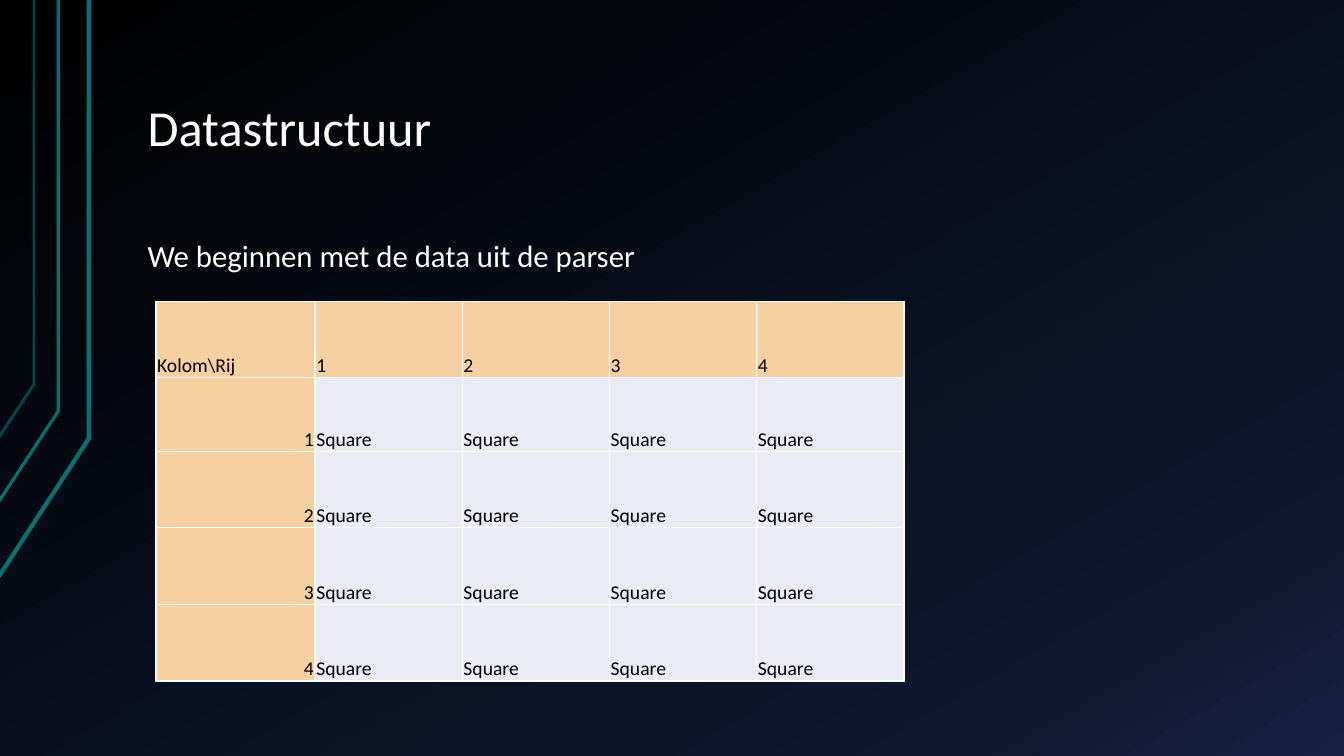
from copy import deepcopy

from lxml import etree
from pptx import Presentation
from pptx import util as u
from pptx.dml.color import RGBColor
from pptx.enum import text
from pptx.oxml.ns import qn

FONT = "Calibri"
WHITE, BLACK, TEAL = "FFFFFF", "000000", "007373"
HEADER_FILL, BODY_FILL = "F7D0A1", "EBEBF5"
GRADIENT = [(0, BLACK), (0.85, "0F1931"), (1, "142242")]

# Points in cm, line width in pt, opacity in percent
BENT_LINES = [
    ([(-0.03, 14.53), (2.24, 11.05), (2.24, 0)], 3, 100),
    ([(-0.05, 12.67), (1.47, 10.36), (1.47, 0)], 2.25, 100),
    ([(-0.03, 11.02), (0.86, 9.68), (0.86, 0)], 2, 60),
]


def rgb(color):
    return RGBColor.from_string(color)


def format_runs(p, size, color):
    for r in p.runs:
        r.font.name = FONT
        r.font.size = u.Pt(size)
        r.font.color.rgb = rgb(color)


def set_background(slide):
    fill = slide.background.fill
    fill.gradient()
    fill.gradient_angle = 300
    first_stop = next(slide.element.iter(qn("a:gs")))
    first_stop.addnext(deepcopy(first_stop))
    for stop, (position, color) in zip(fill.gradient_stops, GRADIENT):
        stop.position = position
        stop.color.rgb = rgb(color)


def add_bent_line(slide, points, width, opacity):
    points = [(u.Cm(x), u.Cm(y)) for x, y in points]
    builder = slide.shapes.build_freeform(*points[0])
    builder.add_line_segments(points[1:], close=False)
    sp = builder.convert_to_shape()
    sp.shadow.inherit = False
    sp.fill.background()
    sp.line.color.rgb = rgb(TEAL)
    sp.line.width = u.Pt(width)
    if opacity < 100:
        color = next(sp.line.fill._xPr.iter(qn("a:srgbClr")))
        etree.SubElement(color, qn("a:alpha"), val=str(opacity * 1000))


def set_heading(sp, content, top, size):
    """Place a heading and give it its text, anchored at the bottom left."""
    sp.left, sp.top, sp.width, sp.height = u.Cm(3.39), u.Cm(top), u.Cm(28.78), u.Cm(3.4)
    tf = sp.text_frame
    tf.text = content
    tf.word_wrap = True
    tf.auto_size = text.MSO_AUTO_SIZE.NONE
    tf.vertical_anchor = text.MSO_ANCHOR.BOTTOM
    tf.margin_left = tf.margin_right = u.Cm(0.33)
    tf.margin_top = tf.margin_bottom = u.Cm(0.18)
    p = tf.paragraphs[0]
    p.alignment = text.PP_ALIGN.LEFT
    p.line_spacing = 0.9
    format_runs(p, size, WHITE)


def add_borders(cell):
    tc_pr = cell._tc.get_or_add_tcPr()
    for side in ("a:lnL", "a:lnR", "a:lnT", "a:lnB"):
        line = etree.SubElement(tc_pr, qn(side), w=str(u.Pt(1)))
        fill = etree.SubElement(line, qn("a:solidFill"))
        etree.SubElement(fill, qn("a:srgbClr"), val=WHITE)


def format_cell(cell, content, fill, align):
    cell.text = content
    add_borders(cell)
    cell.fill.solid()
    cell.fill.fore_color.rgb = rgb(fill)
    cell.vertical_anchor = text.MSO_ANCHOR.BOTTOM
    cell.margin_left = cell.margin_right = cell.margin_top = u.Cm(0.03)
    cell.margin_bottom = 0
    p = cell.text_frame.paragraphs[0]
    p.alignment = align
    format_runs(p, 14, BLACK)


def add_square_table(slide):
    numbers = ["1", "2", "3", "4"]
    rows = [["Kolom\\Rij"] + numbers] + [[n] + ["Square"] * 4 for n in numbers]
    widths = [4.01] + [3.71] * 4
    heights = [1.93, 1.85] + [1.93] * 3
    table = slide.shapes.add_table(
        len(rows), len(widths), u.Cm(3.93), u.Cm(7.59),
        u.Cm(sum(widths)), u.Cm(sum(heights))).table
    table.first_row = table.horz_banding = False
    for column, width in zip(table.columns, widths):
        column.width = u.Cm(width)
    for i, (row, height) in enumerate(zip(rows, heights)):
        table.rows[i].height = u.Cm(height)
        for j, content in enumerate(row):
            fill = BODY_FILL if i and j else HEADER_FILL
            align = text.PP_ALIGN.RIGHT if i and not j else text.PP_ALIGN.LEFT
            format_cell(table.cell(i, j), content, fill, align)


def main():
    prs = Presentation()
    prs.slide_width, prs.slide_height = u.Cm(33.87), u.Cm(19.05)
    slide = prs.slides.add_slide(prs.slide_layouts[5])
    set_background(slide)
    for points, width, opacity in BENT_LINES:
        add_bent_line(slide, points, width, opacity)
    set_heading(slide.shapes.title, "Datastructuur", 0.76, 36)
    add_square_table(slide)
    intro = slide.shapes.add_textbox(0, 0, 0, 0)
    set_heading(intro, "We beginnen met de data uit de parser", 3.68, 22)
    prs.save("out.pptx")


if __name__ == "__main__":
    main()
